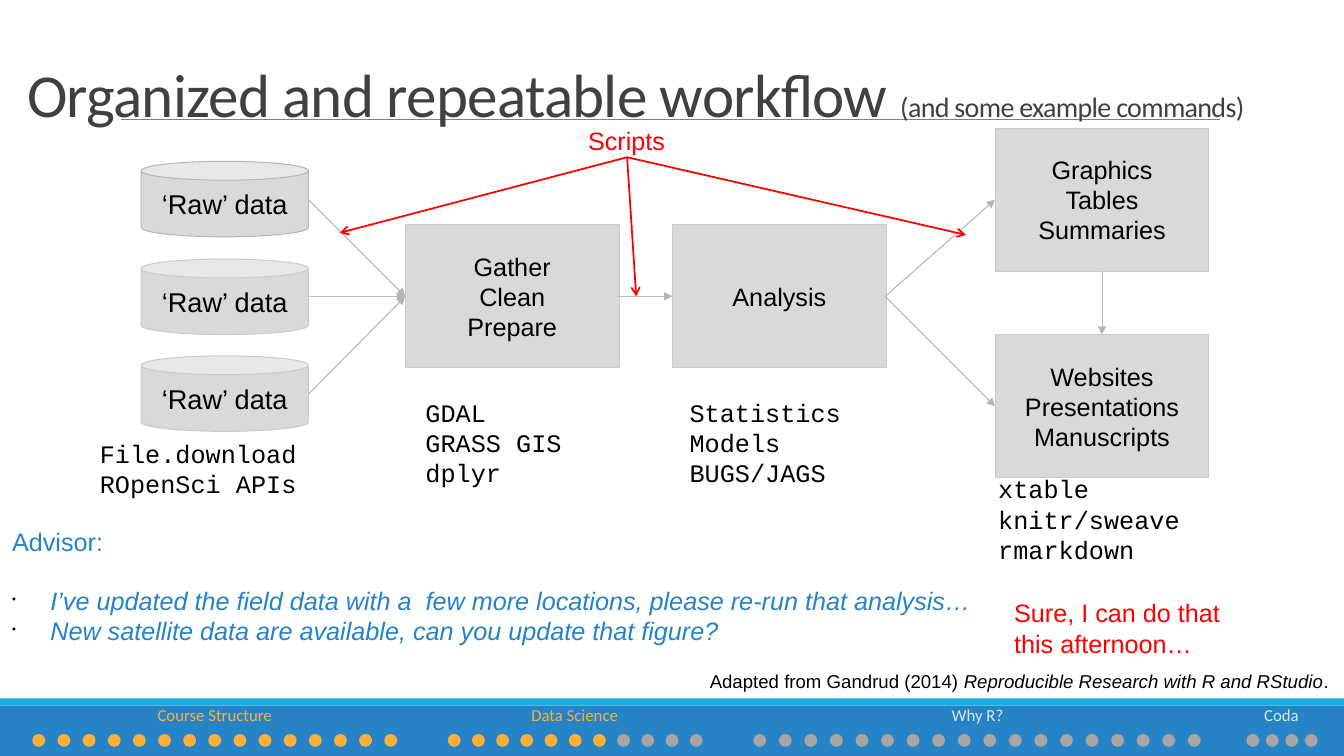
from dataclasses import dataclass

from lxml import etree
from pptx import Presentation
from pptx.dml.color import RGBColor
from pptx.enum.shapes import MSO_CONNECTOR, MSO_SHAPE
from pptx.enum.text import MSO_ANCHOR, PP_ALIGN
from pptx.oxml.ns import qn
from pptx.util import Inches, Pt

RECT, CAN, OVAL = MSO_SHAPE.RECTANGLE, MSO_SHAPE.CAN, MSO_SHAPE.OVAL
STRAIGHT = MSO_CONNECTOR.STRAIGHT
TOP, MIDDLE, BOTTOM = MSO_ANCHOR.TOP, MSO_ANCHOR.MIDDLE, MSO_ANCHOR.BOTTOM
LEFT, CENTER = PP_ALIGN.LEFT, PP_ALIGN.CENTER


@dataclass(frozen=True)
class Theme:
    sans: str = "Arial"
    mono: str = "Courier New"
    heading: str = "Calibri"
    black: str = "000000"
    title_gray: str = "404040"
    rule: str = "808080"
    node: str = "D9D9D9"
    node_edge: str = "CCCCCC"
    arrow: str = "B7B7B7"
    red: str = "FF0000"
    blue: str = "2683C6"
    cyan: str = "1CADE4"
    done: str = "FDAF3B"
    pending: str = "A6A6A6"
    pending_label: str = "DCE6F2"
    title_size: float = 43.6
    subtitle_size: float = 20
    data_size: float = 19.4
    body_size: float = 18
    source_size: float = 13.3
    nav_size: float = 12


THEME = Theme()
BOX_WIDTH, BOX_HEIGHT = 2.12, 1.42
CAN_LEFT, CAN_WIDTH, CAN_HEIGHT = 1.4, 1.66, 0.75
FLOW_Y = 2.94
PAD = (0.13, 0.13)
DOT = 0.11


def rgb(color):
    return RGBColor.from_string(color)


def style_span(span, font, size, color, italic=False):
    span.font.name = font
    span.font.size = Pt(size)
    span.font.color.rgb = rgb(color)
    span.font.italic = italic


def write(shape, lines, font=THEME.sans, size=THEME.body_size, color=THEME.black,
          align=LEFT, anchor=TOP, pad=(0.1, 0.05), wrap=True, spacing=None):
    frame = shape.text_frame
    frame.text = "\n".join(lines)
    frame.word_wrap = wrap
    frame.vertical_anchor = anchor
    frame.margin_left = frame.margin_right = Inches(pad[0])
    frame.margin_top = frame.margin_bottom = Inches(pad[1])
    for para in frame.paragraphs:
        para.alignment = align
        if spacing:
            para.line_spacing = spacing
        for span in para.runs:
            style_span(span, font, size, color)
    return frame


def add_text(shapes, place, lines, **style):
    box = shapes.add_textbox(*map(Inches, place))
    return write(box, lines, **style)


def add_span(para, text, *style):
    span = para.add_run()
    span.text = text
    style_span(span, *style)
    return span


def add_solid(shapes, kind, place, fill, edge=None, weight=0.75):
    shape = shapes.add_shape(kind, *map(Inches, place))
    shape.shadow.inherit = False
    shape.fill.solid()
    shape.fill.fore_color.rgb = rgb(fill)
    if edge:
        shape.line.color.rgb = rgb(edge)
        shape.line.width = Pt(weight)
    else:
        shape.line.fill.background()
    return shape


def add_node(shapes, kind, place, lines, size=THEME.body_size, edge=THEME.node_edge):
    node = add_solid(shapes, kind, place, THEME.node, edge)
    write(node, lines, size=size, align=CENTER, anchor=MIDDLE, pad=PAD)


def add_line(shapes, start, end, color, weight, head=None):
    line = shapes.add_connector(STRAIGHT, *map(Inches, (*start, *end)))
    line.line.color.rgb = rgb(color)
    line.line.width = Pt(weight)
    if head:
        etree.SubElement(line.line._get_or_add_ln(), qn("a:tailEnd"), type=head)
    etree.SubElement(line._element.spPr, qn("a:effectLst"))


def add_bullet(para, indent):
    props = para._p.get_or_add_pPr()
    props.set("marL", str(Inches(indent)))
    props.set("indent", str(-Inches(indent)))
    color = etree.SubElement(props, qn("a:buClr"))
    etree.SubElement(color, qn("a:srgbClr"), val=THEME.black)
    etree.SubElement(props, qn("a:buSzPct"), val="45000")
    etree.SubElement(props, qn("a:buChar"), char="•")
    for span in para.runs:
        span.font.italic = True


def add_progress(slide, label, left, width, first, last, total, done):
    shapes = slide.shapes.add_group_shape().shapes
    add_text(shapes, (left, 7.1, width, 0.1), [label], font=THEME.heading,
             size=THEME.nav_size, color=THEME.done if done else THEME.pending_label,
             align=CENTER, pad=(0, 0), spacing=0.35)
    step = (last - first) / (total - 1)
    for index in range(total):
        color = THEME.done if index < done else THEME.pending
        add_solid(shapes, OVAL, (first + index * step, 7.29, DOT, DOT), color, color, 1.25)


def add_workflow(shapes):
    for top, edge in ((1.6, THEME.arrow), (2.57, THEME.node_edge), (3.53, THEME.node_edge)):
        add_node(shapes, CAN, (CAN_LEFT, top, CAN_WIDTH, CAN_HEIGHT), ["‘Raw’ data"],
                 THEME.data_size, edge)
    for left, top, lines in (
        (4.02, 2.23, ["Gather", "Clean", "Prepare"]),
        (6.67, 2.23, ["Analysis"]),
        (9.87, 1.27, ["Graphics", "Tables", "Summaries"]),
        (9.87, 3.32, ["Websites", "Presentations", "Manuscripts"]),
    ):
        add_node(shapes, RECT, (left, top, BOX_WIDTH, BOX_HEIGHT), lines)
    prepare, analysis = (4.02, FLOW_Y), (8.78, FLOW_Y)
    for start, end in (
        ((3.06, 1.98), prepare), ((3.06, FLOW_Y), prepare), ((3.06, 3.91), prepare),
        ((6.13, FLOW_Y), (6.67, FLOW_Y)),
        (analysis, (9.87, 1.98)), ((10.93, 2.69), (10.93, 3.32)), (analysis, (9.87, 4.03)),
    ):
        add_line(shapes, start, end, THEME.arrow, 0.75, "triangle")


def add_commands(shapes):
    for place, lines in (
        ((0.86, 4.22, 2.72, 1.49), ["File.download", "ROpenSci APIs"]),
        ((4.09, 3.81, 1.96, 1.78), ["GDAL", "GRASS GIS", "dplyr"]),
        ((6.71, 3.81, 2.33, 1.49), ["Statistics", "Models", "BUGS/JAGS"]),
        ((9.77, 4.57, 2.69, 1.49), ["xtable", "knitr/sweave", "rmarkdown"]),
    ):
        add_text(shapes, place, lines, font=THEME.mono, pad=PAD)


def add_scripts(shapes):
    add_text(shapes, (5.73, 1.36, 0.97, 0.21), ["Scripts"], color=THEME.red,
             align=CENTER, wrap=False, spacing=0.35)
    for end in ((3.37, 2.31), (6.31, FLOW_Y), (9.58, 2.33)):
        add_line(shapes, (6.22, 1.56), end, THEME.red, 1.25, "arrow")


def add_dialogue(shapes):
    advisor = add_text(shapes, (0, 5.16, 9.87, 1.33), [
        "Advisor:",
        "I’ve updated the field data with a  few more locations, please re-run that analysis…",
        "New satellite data are available, can you update that figure?",
    ], color=THEME.blue, pad=(0.12, 0.06))
    requests = advisor.paragraphs[1:]
    for para in requests:
        add_bullet(para, 0.38)
    requests[0].space_before = Pt(20.7)
    add_text(shapes, (9.96, 5.88, 2.26, 0.71), ["Sure, I can do that", "this afternoon…"],
             color=THEME.red, wrap=False)


def add_source(shapes):
    frame = add_text(shapes, (6.91, 6.53, 6.67, 0.56), ["Adapted from Gandrud (2014) "],
                     size=THEME.source_size, pad=PAD)
    style = (THEME.sans, THEME.source_size, THEME.black)
    add_span(frame.paragraphs[0], "Reproducible Research with R and RStudio", *style, True)
    add_span(frame.paragraphs[0], ".", *style)


def add_title(shapes):
    frame = add_text(shapes, (0.17, 0.38, 12.7, 0.96), ["Organized and repeatable workflow "],
                     font=THEME.heading, size=THEME.title_size, color=THEME.title_gray,
                     anchor=BOTTOM, spacing=0.85)
    para = frame.paragraphs[0]
    add_span(para, "(and some example commands)", THEME.heading, THEME.subtitle_size,
             THEME.title_gray)
    for span in para.runs:
        span.font._element.set("spc", "-50")


def main():
    deck = Presentation()
    deck.slide_width, deck.slide_height = Inches(13.33), Inches(7.5)
    slide = deck.slides.add_slide(deck.slide_layouts[6])
    shapes = slide.shapes
    add_solid(shapes, RECT, (0, 7, 13.33, 0.5), THEME.blue)
    add_solid(shapes, RECT, (0, 6.93, 13.33, 0.07), THEME.cyan)
    add_line(shapes, (1.2, 1.18), (12.1, 1.18), THEME.rule, 0.5)
    add_workflow(shapes)
    add_source(shapes)
    add_commands(shapes)
    add_scripts(shapes)
    add_dialogue(shapes)
    add_title(shapes)
    add_progress(slide, "Course Structure", 0.14, 3.98, 0.33, 3.82, 15, 15)
    add_progress(slide, "Data Science", 4.26, 2.88, 4.45, 6.85, 11, 7)
    add_progress(slide, "Why R?", 7.29, 4.81, 7.48, 11.79, 18, 0)
    add_progress(slide, "Coda", 12.23, 0.96, 12.37, 12.95, 4, 0)
    deck.save("out.pptx")


if __name__ == "__main__":
    main()
